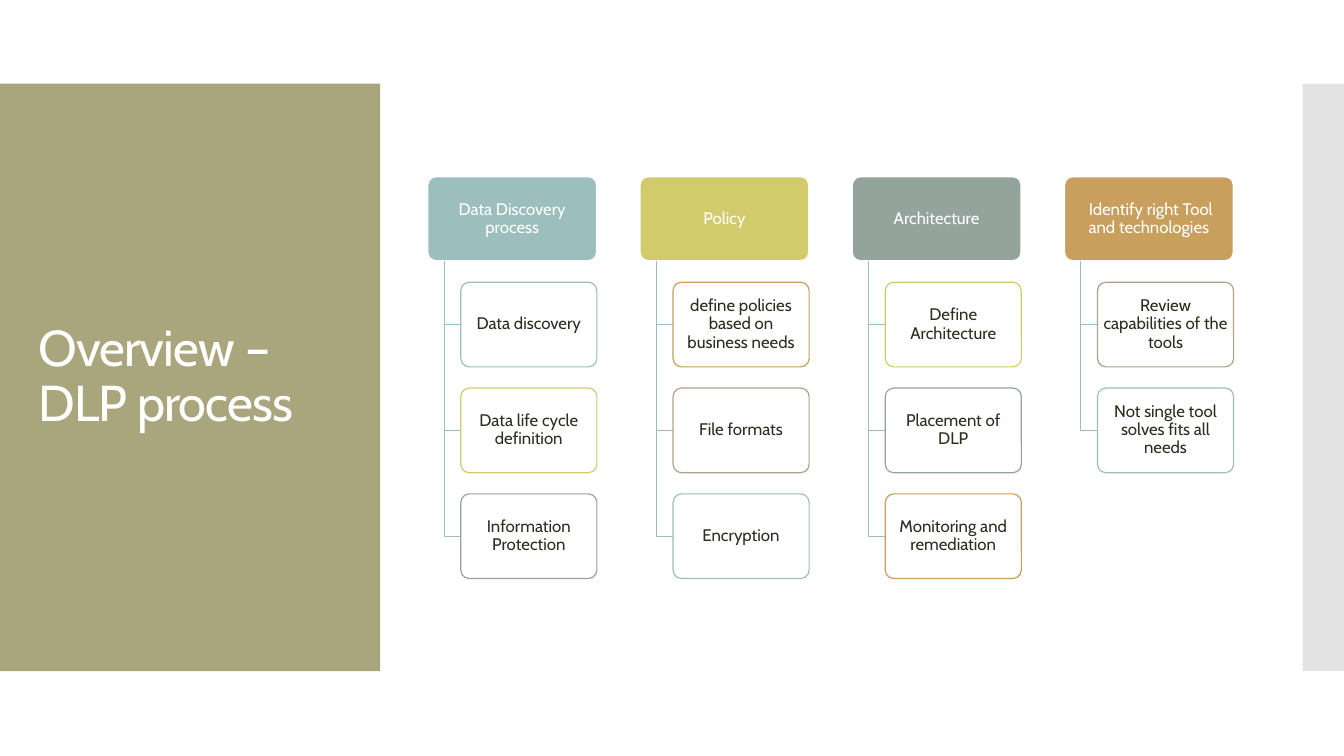
from dataclasses import dataclass
from itertools import cycle

import pptx
import pptx.dml.color
import pptx.enum.shapes
import pptx.enum.text
import pptx.oxml
import pptx.oxml.ns
import pptx.util
from pptx.util import Inches

COLORS = {
    "panel": "A9A57C",
    "strip": "C8C8C8",
    "white": "FFFFFF",
    "ink": "2F2B20",
    "teal": "9CBEBD",
    "lime": "D2CB6C",
    "sage": "95A39D",
    "ochre": "C89F5D",
    "taupe": "B1A089",
}
ACCENTS = ["teal", "lime", "sage", "ochre", "taupe"]
FONT = "Cabin"

STAGE_LEFT, STAGE_TOP, STAGE_STEP = 4.24, 1.75, 2.105
STAGE_WIDTH, TASK_WIDTH, BOX_HEIGHT = 1.68, 1.35, 0.84
TASK_INDENT, TASK_STEP = 0.33, 1.05
TRUNK_INDENT = 0.165

SHAPE = pptx.enum.shapes.MSO_SHAPE
ALIGN = pptx.enum.text.PP_ALIGN
ANCHOR = pptx.enum.text.MSO_ANCHOR


@dataclass
class Stage:
    name: str
    tasks: list[str]


@dataclass
class Box:
    left: float
    top: float
    width: float
    height: float


STAGES = [
    Stage("Data Discovery process",
          ["Data discovery", "Data life cycle definition", "Information Protection"]),
    Stage("Policy",
          ["define policies based on business needs", "File formats", "Encryption"]),
    Stage("Architecture",
          ["Define Architecture", "Placement of DLP", "Monitoring and remediation"]),
    Stage(" Identify right Tool and technologies",
          ["Review capabilities of the tools", "Not single tool solves fits all needs"]),
]


def rgb(name: str) -> pptx.dml.color.RGBColor:
    return pptx.dml.color.RGBColor.from_string(COLORS[name])


def apply_format(target, values: dict) -> None:
    for attribute, value in values.items():
        setattr(target, attribute, value)


def write_text(frame, text: str, size: int, color: str, align) -> None:
    frame.text = text
    paragraph = frame.paragraphs[0]
    apply_format(frame, {"word_wrap": True, "vertical_anchor": ANCHOR.MIDDLE,
                         "auto_size": pptx.enum.text.MSO_AUTO_SIZE.NONE})
    apply_format(paragraph, {"alignment": align, "line_spacing": 0.9})
    font = paragraph.runs[0].font
    apply_format(font, {"name": FONT, "size": pptx.util.Pt(size)})
    font.color.rgb = rgb(color)


def add_block(slide, geometry, box: Box, fill: str, opacity: int = 100):
    """Add a shape with a plain fill, no outline and no shadow."""
    block = slide.shapes.add_shape(geometry, Inches(box.left), Inches(box.top),
                                   Inches(box.width), Inches(box.height))
    block.shadow.inherit = False
    block.line.fill.background()
    block.fill.solid()
    block.fill.fore_color.rgb = rgb(fill)
    if opacity < 100:
        srgb = block.fill._xPr.find(".//" + pptx.oxml.ns.qn("a:srgbClr"))
        alpha = pptx.oxml.parse_xml(
            f'<a:alpha {pptx.oxml.ns.nsdecls("a")} val="{opacity * 1000}"/>')
        srgb.append(alpha)
    return block


def set_line(shape, color: str, width: float) -> None:
    shape.line.color.rgb = rgb(color)
    shape.line.width = pptx.util.Pt(width)


def add_card(slide, box: Box, text: str, fill: str, ink: str,
             border: str, border_width: float, opacity: int = 100) -> None:
    card = add_block(slide, SHAPE.ROUNDED_RECTANGLE, box, fill, opacity)
    card.adjustments[0] = 0.1
    set_line(card, border, border_width)
    apply_format(card.text_frame, {
        "margin_left": Inches(0.03), "margin_right": Inches(0.03),
        "margin_top": Inches(0.02), "margin_bottom": Inches(0.02)})
    write_text(card.text_frame, text, 12, ink, ALIGN.CENTER)


def add_branch(slide, trunk: float, top: float, right: float, bottom: float) -> None:
    """Draw the L-shaped line from a stage down and across to a task."""
    outline = slide.shapes.build_freeform(Inches(trunk), Inches(top))
    outline.add_line_segments([(Inches(trunk), Inches(bottom)),
                               (Inches(right), Inches(bottom))], close=False)
    branch = outline.convert_to_shape()
    branch.shadow.inherit = False
    branch.fill.background()
    set_line(branch, "teal", 0.85)


def add_stages(slide) -> None:
    task_accents = cycle(ACCENTS)
    for column, (stage, accent) in enumerate(zip(STAGES, ACCENTS)):
        left = STAGE_LEFT + column * STAGE_STEP
        add_card(slide, Box(left, STAGE_TOP, STAGE_WIDTH, BOX_HEIGHT),
                 stage.name, accent, "white", "white", 1.35)
        for row, task in enumerate(stage.tasks, start=1):
            task_left = left + TASK_INDENT
            task_top = STAGE_TOP + row * TASK_STEP
            add_branch(slide, left + TRUNK_INDENT, STAGE_TOP + BOX_HEIGHT,
                       task_left, task_top + BOX_HEIGHT / 2)
            add_card(slide, Box(task_left, task_top, TASK_WIDTH, BOX_HEIGHT),
                     task, "white", "ink", next(task_accents), 0.85, opacity=90)


def add_title(slide) -> None:
    title = slide.shapes.title
    apply_format(title, {"left": Inches(0.28), "top": Inches(1.23),
                         "width": Inches(3.22), "height": Inches(5.03)})
    write_text(title.text_frame, "Overview – DLP process", 36, "white", ALIGN.LEFT)
    run = title.text_frame.paragraphs[0].runs[0]
    run._r.get_or_add_rPr().set("spc", "-60")
    slide.shapes._spTree.append(title._element)  # in front of the side panel


def main() -> None:
    deck = pptx.Presentation()
    apply_format(deck, {"slide_width": Inches(13.33), "slide_height": Inches(7.5)})
    slide = deck.slides.add_slide(deck.slide_layouts.get_by_name("Title Only"))
    add_block(slide, SHAPE.RECTANGLE, Box(0, 0.83, 3.77, 5.83), "panel")
    add_block(slide, SHAPE.RECTANGLE, Box(12.92, 0.83, 0.41, 5.83), "strip", opacity=50)
    add_title(slide)
    add_stages(slide)
    deck.save("out.pptx")


if __name__ == "__main__":
    main()
